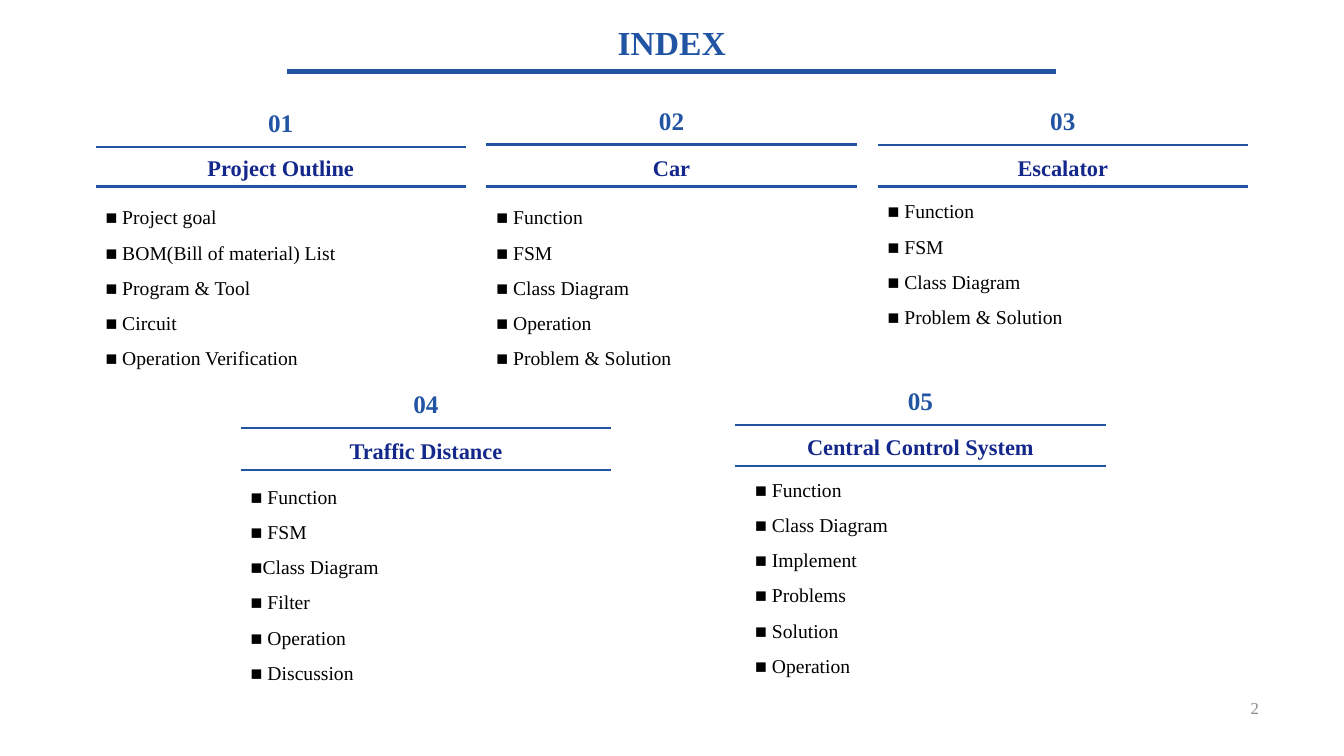
from dataclasses import dataclass
from lxml.etree import SubElement
from pptx import Presentation
from pptx.dml.color import RGBColor as RGB
from pptx.enum.shapes import MSO_CONNECTOR as Conn
from pptx.enum.text import MSO_ANCHOR as Anchor, MSO_AUTO_SIZE as Fit, PP_ALIGN as Align
from pptx.oxml.ns import qn
from pptx.util import Cm, Pt


@dataclass(frozen=True)
class Theme:
    font: str = "Times New Roman"
    blue: RGB = RGB(0x21, 0x55, 0xA4)
    navy: RGB = RGB(0x14, 0x28, 0x8C)
    black: RGB = RGB(0, 0, 0)
    gray: RGB = RGB(0x8C, 0x8C, 0x8C)
    title: int = 24
    number: int = 18
    head: int = 16
    body: int = 14
    page: int = 12
    thick: float = 3
    thin: float = 1.5


theme = Theme()
deck = Presentation()
deck.slide_width, deck.slide_height = Cm(33.87), Cm(19.05)
slide = deck.slides.add_slide(deck.slide_layouts[6])


def add_rule(left, top, width, weight):
    """Draw a horizontal blue line."""
    rule = slide.shapes.add_connector(
        Conn.STRAIGHT, Cm(left), Cm(top), Cm(left + width), Cm(top))
    rule.line.color.rgb = theme.blue
    rule.line.width = Pt(weight)
    SubElement(rule._element.spPr, qn("a:effectLst"))


def add_text(text, left, top, width, height, size, color,
             bold=False, align=Align.CENTER, spacing=None):
    box = slide.shapes.add_textbox(Cm(left), Cm(top), Cm(width), Cm(height))
    frame = box.text_frame
    frame.text = text
    frame.word_wrap = True
    frame.auto_size = Fit.SHAPE_TO_FIT_TEXT
    for para in frame.paragraphs:
        para.alignment = align
        para.line_spacing = spacing
        for run in para.runs:
            font = run.font
            font.name, font.size, font.bold = theme.font, Pt(size), bold
            font.color.rgb = color
    return frame


add_rule(7.24, 1.8, 19.38, theme.thick)
add_text("INDEX", 7.24, 0.43, 19.38, 1.27, theme.title, theme.blue, bold=True)

# head, left, upper rule, lower rule, list left, list top, items
parts = [
    ("Project Outline", 2.41, 3.71, 4.7, 2.41, 4.75,
     ["■ Project goal", "■ BOM(Bill of material) List", "■ Program & Tool",
      "■ Circuit", "■ Operation Verification"]),
    ("Car", 12.26, 3.64, 4.7, 12.26, 4.75,
     ["■ Function", "■ FSM", "■ Class Diagram", "■ Operation",
      "■ Problem & Solution"]),
    ("Escalator", 22.12, 3.65, 4.7, 22.12, 4.6,
     ["■ Function", "■ FSM", "■ Class Diagram", "■ Problem & Solution"]),
    ("Traffic Distance", 6.07, 10.78, 11.84, 6.07, 11.79,
     ["■ Function", "■ FSM", "■Class Diagram", "■ Filter", "■ Operation",
      "■ Discussion"]),
    ("Central Control System", 18.53, 10.71, 11.74, 18.78, 11.61,
     ["■ Function", "■ Class Diagram", "■ Implement", "■ Problems",
      "■ Solution", "■ Operation"]),
]
wide = 9.33

for num, (head, left, upper, lower, inset, top, items) in enumerate(parts, 1):
    add_text(f"{num:02}", left, upper - 1.12, wide, 1.02,
             theme.number, theme.blue, bold=True)
    add_rule(left, upper, wide, theme.thin)
    add_text(head, left, lower - 0.94, wide, 0.94,
             theme.head, theme.navy, bold=True)
    add_rule(left, lower, wide, theme.thin)
    add_text("\n".join(items), inset, top, wide, 0.93 * len(items),
             theme.body, theme.black, align=Align.LEFT, spacing=1.5)

page = add_text("2", 24.36, 17.32, 7.62, 1.02, theme.page, theme.gray,
                align=Align.RIGHT)
page.auto_size = Fit.NONE
page.vertical_anchor = Anchor.MIDDLE

deck.save("out.pptx")
